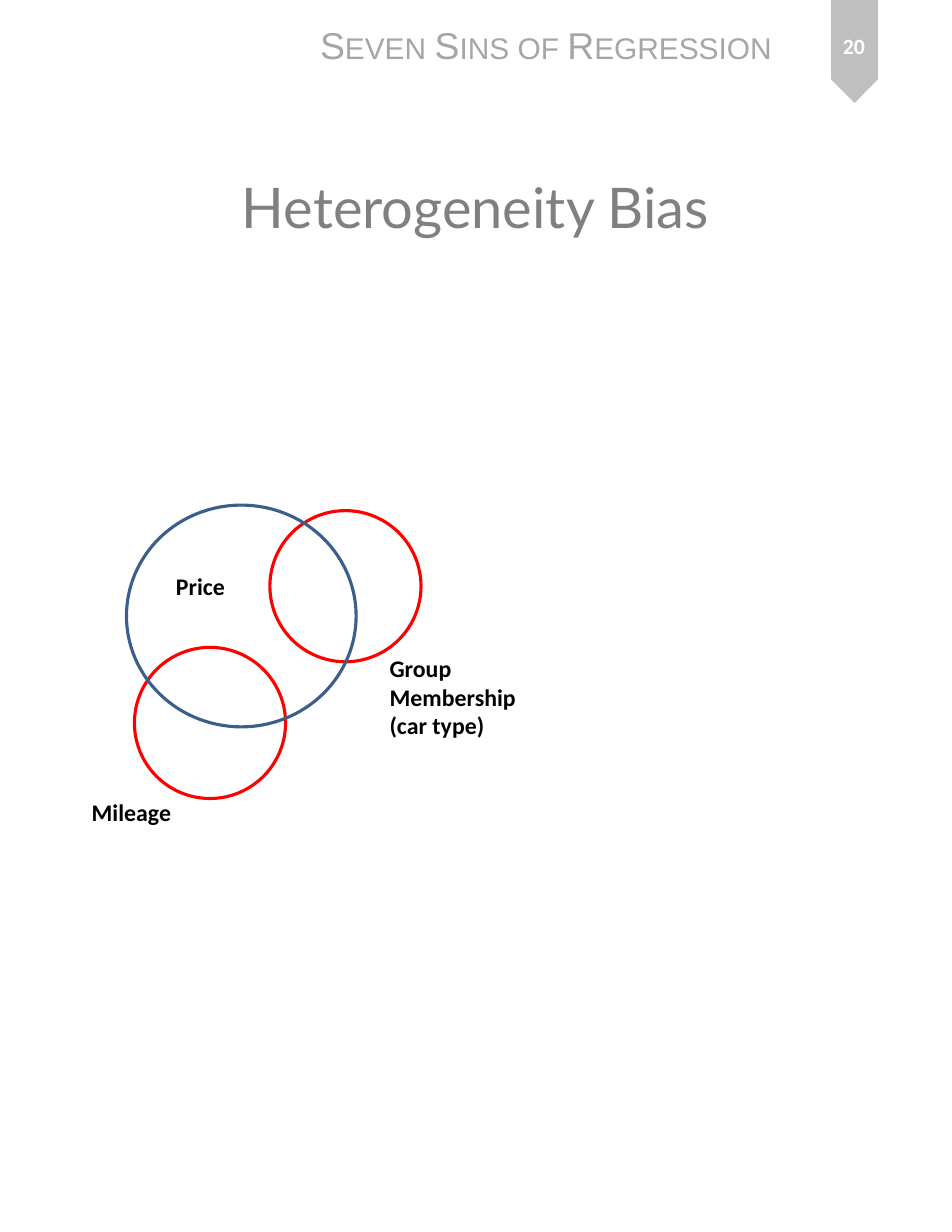
from pptx import Presentation
from pptx.dml.color import RGBColor
from pptx.enum.shapes import MSO_SHAPE
from pptx.enum.text import MSO_ANCHOR, MSO_AUTO_SIZE, PP_ALIGN
from pptx.util import Inches, Pt

OVAL, TAG = MSO_SHAPE.OVAL, MSO_SHAPE.PENTAGON
LEFT, MID = PP_ALIGN.LEFT, PP_ALIGN.CENTER
TOP, CENTER = MSO_ANCHOR.TOP, MSO_ANCHOR.MIDDLE
GROW, FIXED = MSO_AUTO_SIZE.SHAPE_TO_FIT_TEXT, MSO_AUTO_SIZE.NONE
hue = RGBColor.from_string

deck = Presentation()
deck.slide_width, deck.slide_height = Inches(8.5), Inches(11)
slide = deck.slides.add_slide(deck.slide_layouts[5])
shapes = slide.shapes


def place(x, y, w, h):
    """Turn percentages of the slide's width and height into lengths."""
    wide, high = deck.slide_width / 100, deck.slide_height / 100
    return [round(n) for n in (x * wide, y * high, w * wide, h * high)]


def write(text, spot, box=None, size=15.3, font="Calibri", color="000000",
          bold=False, caps=False, align=LEFT, anchor=TOP, wrap=False):
    box = box or shapes.add_textbox(0, 0, 0, 0)
    box.left, box.top, box.width, box.height = place(*spot)
    frame = box.text_frame
    frame.text = text
    frame.word_wrap = wrap
    frame.auto_size = FIXED if wrap else GROW
    frame.vertical_anchor = anchor
    for para in frame.paragraphs:
        para.alignment = align
        for run in para.runs:
            run.font.size, run.font.name = Pt(size), font
            run.font.bold, run.font.color.rgb = bold, hue(color)
            if caps:
                run.font._element.set("cap", "small")


# Page tag and running header
tag = shapes.add_shape(TAG, *place(84.35, 2.27, 10.82, 3.82))
tag.rotation = 90
tag.shadow.inherit = False
tag.fill.solid()
tag.fill.fore_color.rgb = hue("BFBFBF")
tag.line.fill.background()
write("Seven Sins of Regression", (32.47, 1.36, 50.82, 4.55),
      size=24, font="Arial", color="A6A6A6", caps=True)

# Title
write("Heterogeneity Bias", (4.94, 8.45, 90, 16.64), box=shapes.title,
      size=36, font="Lato", color="808080",
      align=MID, anchor=CENTER, wrap=True)

# Overlapping circles: mileage, group, price
small = (15.88, 12.27)
for spot, color in [((14.12, 52.55, *small), "FF0000"),
                    ((28.35, 41.45, *small), "FF0000"),
                    ((13.29, 41, 24.12, 18), "3A5F8C")]:
    ring = shapes.add_shape(OVAL, *place(*spot))
    ring.shadow.inherit = False
    ring.fill.background()
    ring.line.color.rgb = hue(color)
    ring.line.width = Pt(2)

# Circle labels
for text, spot, align in [
        ("Price", (17.29, 46, 7.53, 3.27), MID),
        ("Group\vMembership\n(car type)", (39.76, 52.64, 15.76, 7.91), LEFT),
        ("Mileage", (8.47, 64.27, 10.82, 3.27), LEFT)]:
    write(text, spot, bold=True, align=align)

# Page number
write("20", (85.76, 1, 7.88, 5.36), size=14, color="FFFFFF", bold=True,
      align=MID, anchor=CENTER, wrap=True)

deck.save("out.pptx")
